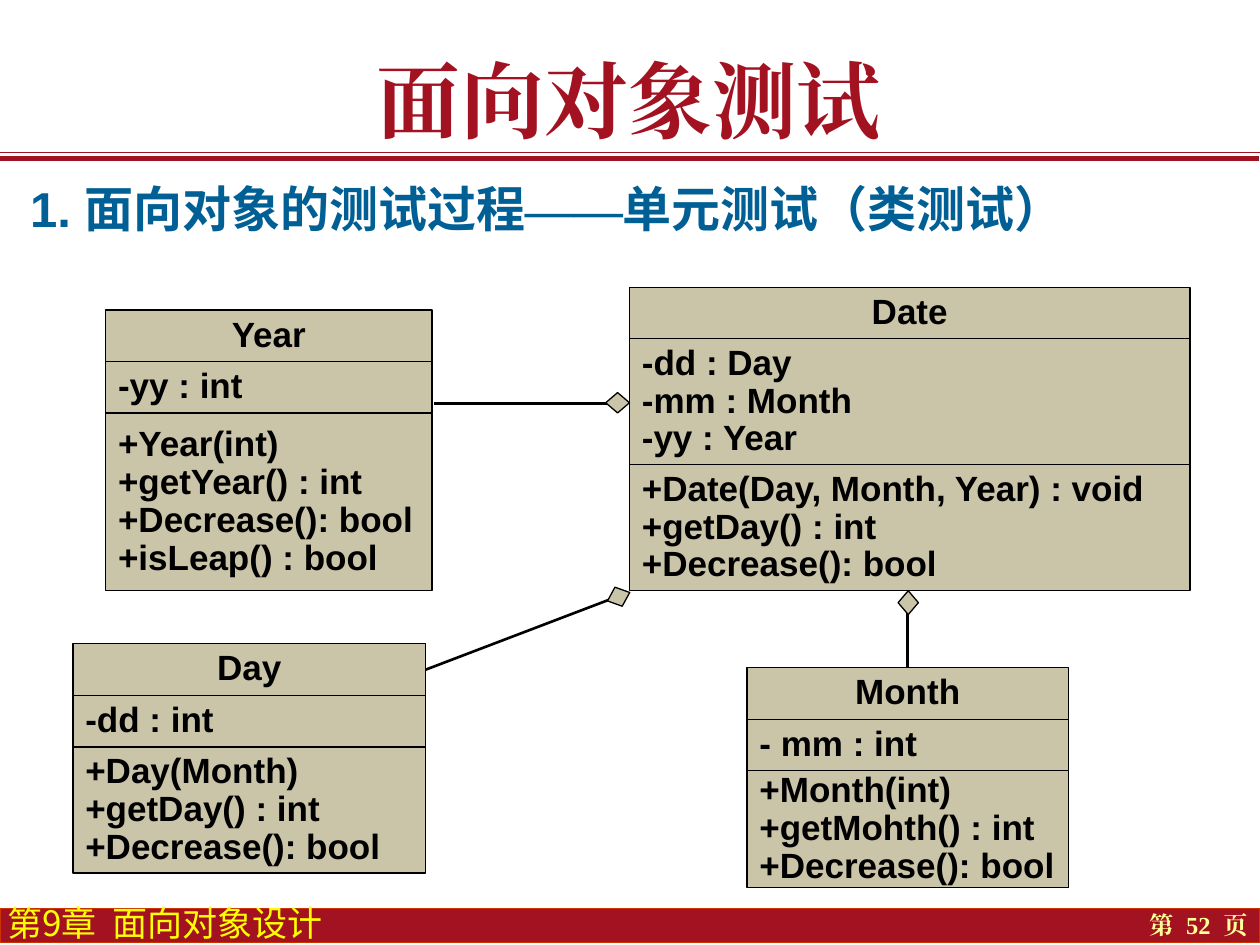
from lxml import etree
from pptx import Presentation
from pptx.dml.color import RGBColor
from pptx.enum.shapes import MSO_CONNECTOR, MSO_SHAPE
from pptx.enum.text import MSO_ANCHOR, MSO_AUTO_SIZE, PP_ALIGN
from pptx.oxml.ns import qn
from pptx.util import Cm, Pt

RED = "A31221"
SAND = "CAC4A8"
BLACK = "000000"
SERIF = "Times New Roman"
CHINESE = "Noto Sans CJK SC"


def color(hex_text):
    return RGBColor.from_string(hex_text)


def write_text(shape, paragraphs, size=20, font="Arial", fill=BLACK, bold=True,
               align=PP_ALIGN.LEFT, anchor=MSO_ANCHOR.TOP, line_spacing=None,
               wrap=True, grow=False, margins=(0.25, 0.13)):
    """Each paragraph is a list of (text, options); options: font, spacing in points."""
    frame = shape.text_frame
    frame.word_wrap = wrap
    frame.auto_size = MSO_AUTO_SIZE.SHAPE_TO_FIT_TEXT if grow else MSO_AUTO_SIZE.NONE
    frame.vertical_anchor = anchor
    frame.margin_left = frame.margin_right = Cm(margins[0])
    frame.margin_top = frame.margin_bottom = Cm(margins[1])
    for index, runs in enumerate(paragraphs):
        paragraph = frame.add_paragraph() if index else frame.paragraphs[0]
        paragraph.alignment = align
        paragraph.line_spacing = line_spacing
        for text, options in runs:
            run = paragraph.add_run()
            run.text = text
            run.font.size = Pt(size)
            run.font.bold = bold
            run.font.color.rgb = color(fill)
            run.font.name = options.get("font", font)
            properties = run.font._element
            east_asian = etree.SubElement(properties, qn("a:ea"))
            east_asian.set("typeface", run.font.name)
            if "spacing" in options:
                properties.set("spc", str(round(options["spacing"] * 100)))


class ClassDiagram:
    """Holds the shared style and the slide being drawn; lengths are in cm."""

    line_width = 0.75
    row_height = 1.04

    def __init__(self, slide):
        self.slide = slide

    def text(self, left, top, width, height, runs, **style):
        box = self.slide.shapes.add_textbox(Cm(left), Cm(top), Cm(width), Cm(height))
        write_text(box, [runs], **style)

    def shape(self, kind, left, top, width, height, fill=SAND, outline=BLACK, parent=None):
        shapes = (parent or self.slide).shapes
        shape = shapes.add_shape(kind, Cm(left), Cm(top), Cm(width), Cm(height))
        shape.shadow.inherit = False
        shape.fill.solid()
        shape.fill.fore_color.rgb = color(fill)
        shape.line.color.rgb = color(outline)
        shape.line.width = Pt(self.line_width)
        return shape

    def line(self, start, end, stroke=BLACK, width=1.5):
        connector = self.slide.shapes.add_connector(
            MSO_CONNECTOR.STRAIGHT, *(Cm(value) for value in (*start, *end)))
        connector.line.color.rgb = color(stroke)
        connector.line.width = Pt(width)
        etree.SubElement(connector._element.spPr, qn("a:effectLst"))
        return connector

    def diamond(self, center_x, center_y, rotation=0):
        width, height = 0.41, 0.48
        shape = self.shape(MSO_SHAPE.DIAMOND, center_x - width / 2,
                           center_y - height / 2, width, height)
        shape.rotation = rotation

    def class_box(self, left, top, width, name, attributes, attribute_height,
                  methods, method_height):
        """Stack the three compartments of a class and return the name compartment."""
        group = self.slide.shapes.add_group_shape()
        compartments = [
            ([name], self.row_height, PP_ALIGN.CENTER),
            (attributes, attribute_height, PP_ALIGN.LEFT),
            (methods, method_height, PP_ALIGN.LEFT),
        ]
        boxes = []
        for lines, height, align in compartments:
            box = self.shape(MSO_SHAPE.RECTANGLE, left, top, width, height, parent=group)
            write_text(box, [[(line, {})] for line in lines], align=align,
                       anchor=MSO_ANCHOR.MIDDLE, line_spacing=0.9, wrap=False)
            boxes.append(box)
            top += height
        return boxes[0]


def main():
    presentation = Presentation()
    presentation.slide_width = Cm(25.4)
    presentation.slide_height = Cm(19.05)
    slide = presentation.slides.add_slide(presentation.slide_layouts[6])
    diagram = ClassDiagram(slide)

    diagram.line((0, 3.07), (25.4, 3.07), RED, 0.75)
    diagram.line((0, 3.2), (25.37, 3.2), RED, 3)
    diagram.shape(MSO_SHAPE.RECTANGLE, 0, 18.31, 25.4, 0.69, RED, "CC3300")
    diagram.text(21.41, 18.21, 3.99, 0.84,
                 [("第", {}), (" ", {"spacing": 3.5}), ("52", {}),
                  (" ", {"spacing": 3.5}), ("页", {})],
                 size=14, font=SERIF, fill="FFFF99", align=PP_ALIGN.RIGHT, grow=True)
    diagram.text(0.15, 18.39, 7.62, 0.64,
                 [("第9章", {}), (" ", {"spacing": 4.5}), ("面向对象设计", {})],
                 font=CHINESE, fill="FFFF00", bold=False, anchor=MSO_ANCHOR.BOTTOM,
                 line_spacing=0.85, margins=(0, 0))
    diagram.text(4.29, 0.84, 16.76, 2.29, [("面向对象测试", {})], size=48,
                 font=SERIF, fill=RED, align=PP_ALIGN.CENTER, grow=True)

    day = diagram.class_box(
        1.47, 12.98, 7.11, "Day", ["-dd : int"], 1.04,
        ["+Day(Month)", "+getDay() : int", "+Decrease(): bool"], 2.54)
    diagram.class_box(
        2.13, 6.25, 6.58, "Year", ["-yy : int"], 1.04,
        ["+Year(int)", "+getYear() : int", "+Decrease(): bool", "+isLeap() : bool"], 3.58)
    month = diagram.class_box(
        15.06, 13.46, 6.48, "Month", ["- mm : int"], 1.04,
        ["+Month(int)", "+getMohth() : int", "+Decrease(): bool"], 2.36)
    diagram.class_box(
        12.69, 5.79, 11.3, "Date", ["-dd : Day", "-mm : Month", "-yy : Year"], 2.54,
        ["+Date(Day, Month, Year) : void", "+getDay() : int", "+Decrease(): bool"], 2.54)

    diagram.line((8.74, 8.13), (12.57, 8.13))
    diagram.line((8.58, 13.5), (12.62, 11.96)).begin_connect(day, 3)
    diagram.line((18.3, 13.46), (18.3, 11.99)).begin_connect(month, 0)
    diagram.diamond(18.31, 12.15)
    diagram.diamond(12.45, 8.12, 90)
    diagram.diamond(12.47, 12.03, 69.2)

    diagram.text(0.36, 3.61, 23.06, 1.32,
                 [("1. 面向对象的测试过程", {}), ("——", {"font": SERIF}),
                  ("单元测试（类测试）", {})],
                 size=28, fill="005F94", align=PP_ALIGN.JUSTIFY, line_spacing=0.9, grow=True)

    presentation.save("out.pptx")


if __name__ == "__main__":
    main()
